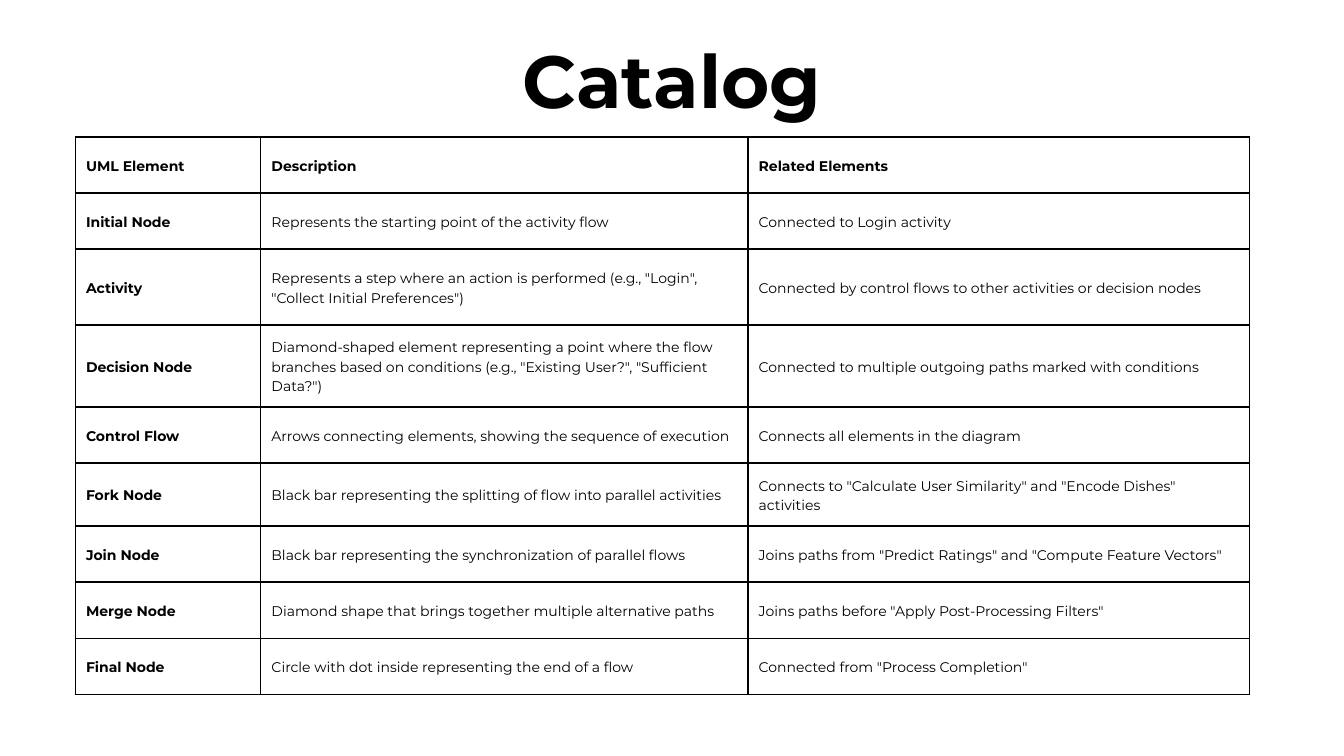
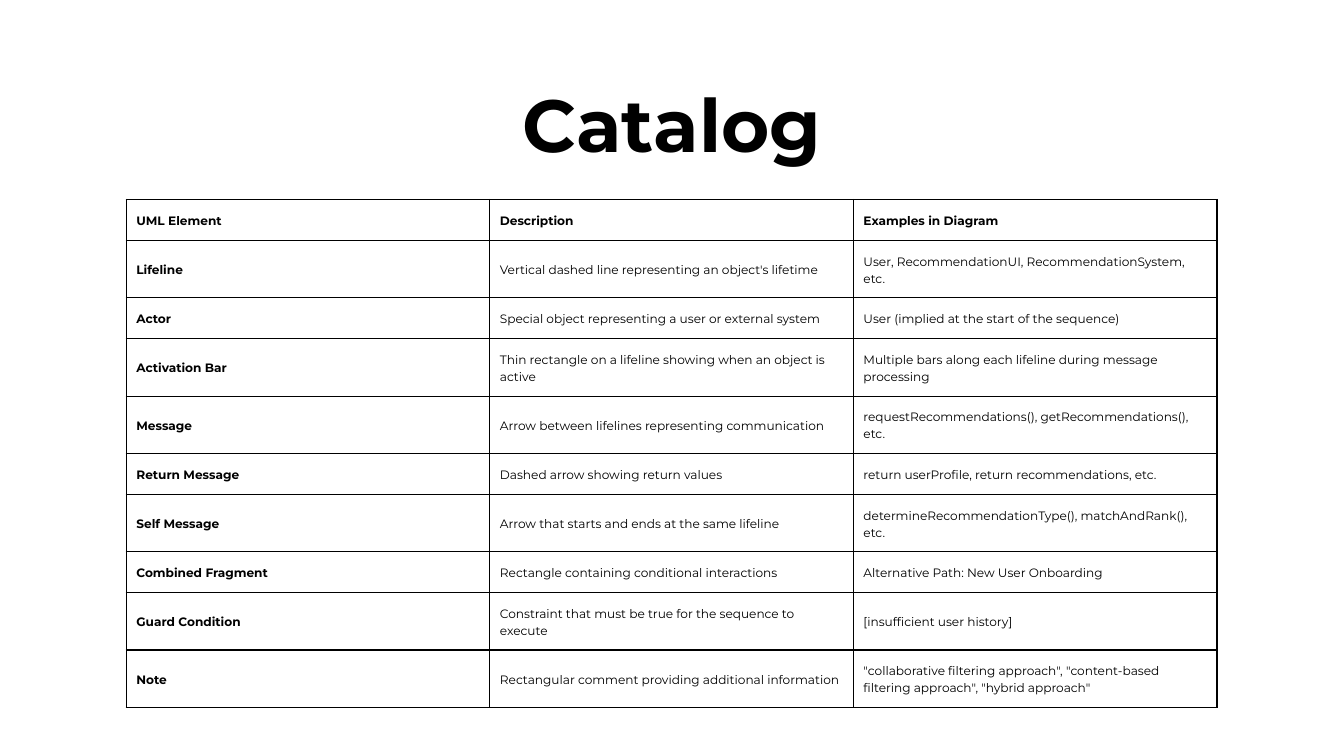
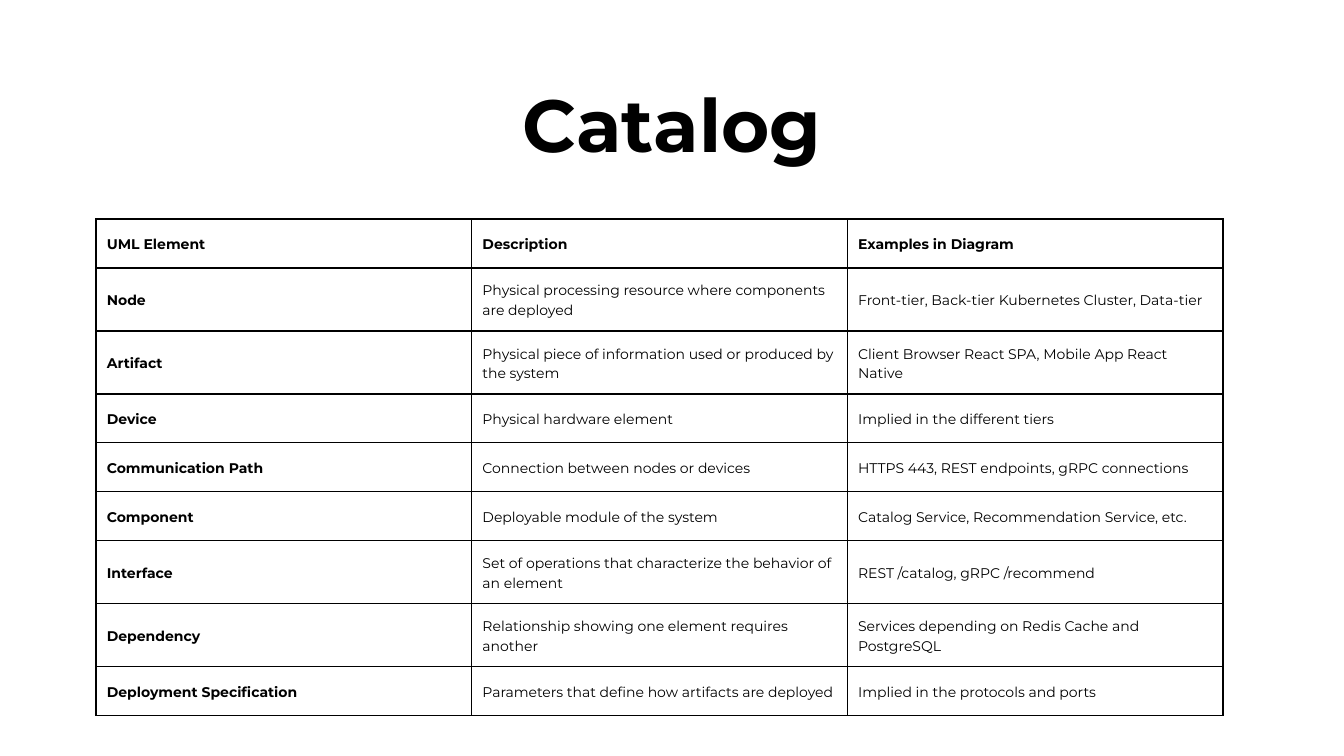
from lxml.etree import SubElement
from pptx import Presentation
from pptx.dml.color import RGBColor
from pptx.enum.text import MSO_ANCHOR, MSO_AUTO_SIZE, PP_ALIGN
from pptx.oxml.ns import qn
from pptx.util import Inches, Pt

FONT = "Montserrat"
INK = "000000"
BORDER = Pt(1.5)
LEADING = 1.4
WIDTH, HEIGHT = Inches(20), Inches(11.25)
# One percent of the slide's width and height
X, Y = WIDTH / 100, HEIGHT / 100


def solid(fill, color):
    fill.solid()
    fill.fore_color.rgb = RGBColor.from_string(color)


def write(frame, text, size, bold=False, align=PP_ALIGN.LEFT, color=INK):
    frame.word_wrap = True
    frame.text = text
    paragraph = frame.paragraphs[0]
    paragraph.alignment = align
    paragraph.line_spacing = Pt(round(size * LEADING, 1))
    font = paragraph.runs[0].font
    font.name, font.size, font.bold = FONT, Pt(size), bold
    solid(font.fill, color)


# Positions, column widths and row heights are percentages of the slide
catalogs = [
    dict(
        title_top=2.67, left=5.6, top=18.13, size=15, inset=0.8,
        columns=[13.8, 36.25, 37.3],
        heights=[7.41, 7.41, 10.04, 10.84, 7.41, 8.36, 7.41, 7.41, 7.41],
        rows=[
            ("UML Element", "Description", "Related Elements"),
            ("Initial Node", "Represents the starting point of the activity flow",
             "Connected to Login activity"),
            ("Activity",
             'Represents a step where an action is performed (e.g., "Login", "Collect Initial Preferences")',
             "Connected by control flows to other activities or decision nodes"),
            ("Decision Node",
             "Diamond-shaped element representing a point where the flow branches based on conditions "
             '(e.g., "Existing User?", "Sufficient Data?")',
             "Connected to multiple outgoing paths marked with conditions"),
            ("Control Flow", "Arrows connecting elements, showing the sequence of execution",
             "Connects all elements in the diagram"),
            ("Fork Node", "Black bar representing the splitting of flow into parallel activities",
             'Connects to "Calculate User Similarity" and "Encode Dishes" activities'),
            ("Join Node", "Black bar representing the synchronization of parallel flows",
             'Joins paths from "Predict Ratings" and "Compute Feature Vectors"'),
            ("Merge Node", "Diamond shape that brings together multiple alternative paths",
             'Joins paths before "Apply Post-Processing Filters"'),
            ("Final Node", "Circle with dot inside representing the end of a flow",
             'Connected from "Process Completion"'),
        ],
    ),
    dict(
        title_top=8.53, left=9.4, top=26.4, size=13, inset=0.75,
        columns=[27.05] * 3,
        heights=[5.4, 7.6, 5.4, 7.6, 7.6, 5.4, 7.6, 5.4, 7.6, 7.6],
        rows=[
            ("UML Element", "Description", "Examples in Diagram"),
            ("Lifeline", "Vertical dashed line representing an object's lifetime",
             "User, RecommendationUI, RecommendationSystem, etc."),
            ("Actor", "Special object representing a user or external system",
             "User (implied at the start of the sequence)"),
            ("Activation Bar", "Thin rectangle on a lifeline showing when an object is active",
             "Multiple bars along each lifeline during message processing"),
            ("Message", "Arrow between lifelines representing communication",
             "requestRecommendations(), getRecommendations(), etc."),
            ("Return Message", "Dashed arrow showing return values",
             "return userProfile, return recommendations, etc."),
            ("Self Message", "Arrow that starts and ends at the same lifeline",
             "determineRecommendationType(), matchAndRank(), etc."),
            ("Combined Fragment", "Rectangle containing conditional interactions",
             "Alternative Path: New User Onboarding"),
            ("Guard Condition", "Constraint that must be true for the sequence to execute",
             "[insufficient user history]"),
            ("Note", "Rectangular comment providing additional information",
             '"collaborative filtering approach", "content-based filtering approach", "hybrid approach"'),
        ],
    ),
    dict(
        title_top=8.53, left=7.15, top=28.98, size=15, inset=0.8,
        columns=[27.95] * 3,
        heights=[6.46, 8.34, 8.34, 6.46, 6.46, 6.46, 8.34, 8.34, 6.46],
        rows=[
            ("UML Element", "Description", "Examples in Diagram"),
            ("Node", "Physical processing resource where components are deployed",
             "Front-tier, Back-tier Kubernetes Cluster, Data-tier"),
            ("Artifact", "Physical piece of information used or produced by the system",
             "Client Browser React SPA, Mobile App React Native"),
            ("Device", "Physical hardware element", "Implied in the different tiers"),
            ("Communication Path", "Connection between nodes or devices",
             "HTTPS 443, REST endpoints, gRPC connections"),
            ("Component", "Deployable module of the system",
             "Catalog Service, Recommendation Service, etc."),
            ("Interface", "Set of operations that characterize the behavior of an element",
             "REST /catalog, gRPC /recommend"),
            ("Dependency", "Relationship showing one element requires another",
             "Services depending on Redis Cache and PostgreSQL"),
            ("Deployment Specification", "Parameters that define how artifacts are deployed",
             "Implied in the protocols and ports"),
        ],
    ),
]

deck = Presentation()
deck.slide_width, deck.slide_height = WIDTH, HEIGHT

for catalog in catalogs:
    slide = deck.slides.add_slide(deck.slide_layouts[5])

    # Title
    heading = slide.shapes.title
    heading.left, heading.top = int(13.4 * X), int(catalog["title_top"] * Y)
    heading.width, heading.height = int(73.2 * X), int(13.16 * Y)
    frame = heading.text_frame
    frame.margin_left = frame.margin_right = frame.margin_top = frame.margin_bottom = 0
    frame.vertical_anchor = MSO_ANCHOR.TOP
    frame.auto_size = MSO_AUTO_SIZE.SHAPE_TO_FIT_TEXT
    write(frame, "Catalog", size=79, bold=True, align=PP_ALIGN.CENTER)

    # Table grid
    columns, heights, rows = catalog["columns"], catalog["heights"], catalog["rows"]
    elements = slide.shapes.add_table(
        len(rows), len(columns), int(catalog["left"] * X), int(catalog["top"] * Y),
        int(sum(columns) * X), int(sum(heights) * Y)).table
    elements.horz_banding = elements.first_row = False
    for column, share in zip(elements.columns, columns):
        column.width = int(share * X)
    for row, share in zip(elements.rows, heights):
        row.height = int(share * Y)

    # Cells: header row and first column are bold
    inset = int(catalog["inset"] * X)
    for r, entry in enumerate(rows):
        for c, text in enumerate(entry):
            cell = elements.cell(r, c)
            cell.margin_left = cell.margin_right = inset
            cell.margin_top = cell.margin_bottom = inset
            cell.vertical_anchor = MSO_ANCHOR.MIDDLE
            write(cell.text_frame, text, size=catalog["size"], bold=r == 0 or c == 0)
            properties = cell._tc.get_or_add_tcPr()
            for side in ("a:lnL", "a:lnR", "a:lnT", "a:lnB"):
                line = SubElement(properties, qn(side), w=str(BORDER))
                SubElement(SubElement(line, qn("a:solidFill")), qn("a:srgbClr"), val=INK)
            cell.fill.background()

deck.save("out.pptx")
